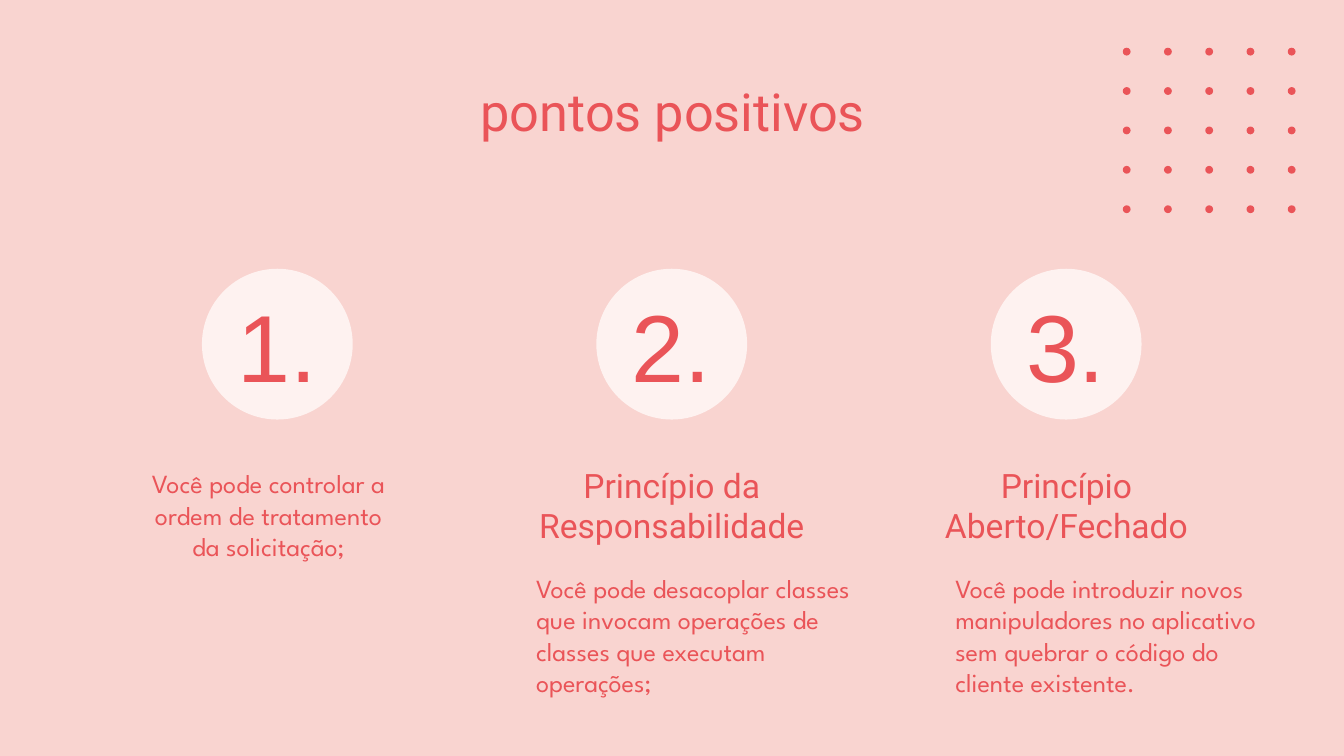
"""Build the slide "pontos positivos" with three numbered advantages."""
from pptx import Presentation
from pptx import util as u
from pptx.dml.color import RGBColor
from pptx.enum import shapes, text

RED = RGBColor(0xEA, 0x54, 0x58)
PINK = RGBColor(0xF9, 0xD4, 0xD0)
PALE = RGBColor(0xFE, 0xF2, 0xF0)
MID = text.MSO_ANCHOR.MIDDLE
TOP = text.MSO_ANCHOR.TOP
LEFT = text.PP_ALIGN.LEFT
CENTER = text.PP_ALIGN.CENTER
HEAD = {"name": "Roboto", "size": u.Pt(18)}
BODY = {"name": "League Spartan", "size": u.Pt(14)}


def write(shape, words, font, align=CENTER, anchor=MID, indent=0, wrap=True):
    """Put formatted words into a shape."""
    frame = shape.text_frame
    frame.text = words
    pad = u.Pt(7.2)
    form = {"word_wrap": wrap, "auto_size": text.MSO_AUTO_SIZE.NONE,
            "vertical_anchor": anchor, "margin_left": pad,
            "margin_right": pad, "margin_top": pad, "margin_bottom": pad}
    for key, value in form.items():
        setattr(frame, key, value)
    para = frame.paragraphs[0]
    para.alignment = align
    if indent:
        props = para._p.get_or_add_pPr()
        props.set("marL", str(u.Pt(indent)))
        props.set("indent", "0")
    run = para.runs[0].font
    for key, value in font.items():
        setattr(run, key, value)
    run.color.rgb = RED


def oval(left, top, size, color):
    """Draw a plain filled circle."""
    disc = slide.shapes.add_shape(
        shapes.MSO_SHAPE.OVAL, u.Pt(left), u.Pt(top), u.Pt(size), u.Pt(size))
    disc.shadow.inherit = False
    disc.fill.solid()
    disc.fill.fore_color.rgb = color
    disc.line.fill.background()
    return disc


deck = Presentation()
deck.slide_width, deck.slide_height = u.Pt(720), u.Pt(405)
slide = deck.slides.add_slide(deck.slide_layouts[5])
slide.background.fill.solid()
slide.background.fill.fore_color.rgb = PINK

title = slide.shapes.title
place = {"left": 56.9, "top": 35.3, "width": 607, "height": 45.4}
for key, value in place.items():
    setattr(title, key, u.Pt(value))
write(title, "pontos positivos", {"name": "Roboto", "size": u.Pt(28)}, anchor=TOP)

for col in range(5):
    for row in range(5):
        oval(601.5 + 22.1 * col, 25.6 + 21.1 * row, 4.2, RED)

for step in range(3):
    disc = oval(108.2 + 211.3 * step, 144, 80.8, PALE)
    write(disc, f"{step + 1}.", {"name": "Arial", "size": u.Pt(51)},
          align=LEFT, wrap=False)

notes = [
    ("Você pode controlar a ordem de tratamento da solicitação;",
     (33.8, 235.4, 184.3, 80.6), BODY, CENTER, 36),
    ("Princípio da Responsabilidade",
     (267.8, 219.6, 184.3, 102.2), HEAD, CENTER, 0),
    ("Você pode desacoplar classes que invocam operações de classes "
     "que executam operações;",
     (244.1, 305.3, 231.8, 69.8), BODY, LEFT, 36),
    ("Princípio Aberto/Fechado",
     (479.2, 225.4, 184.3, 90.7), HEAD, CENTER, 0),
    ("Você pode introduzir novos manipuladores no aplicativo sem quebrar "
     "o código do cliente existente.",
     (468.7, 305.3, 227.5, 69.8), BODY, LEFT, 36),
]
for words, area, font, align, indent in notes:
    box = slide.shapes.add_textbox(*map(u.Pt, area))
    write(box, words, font, align, indent=indent)

deck.save("out.pptx")
